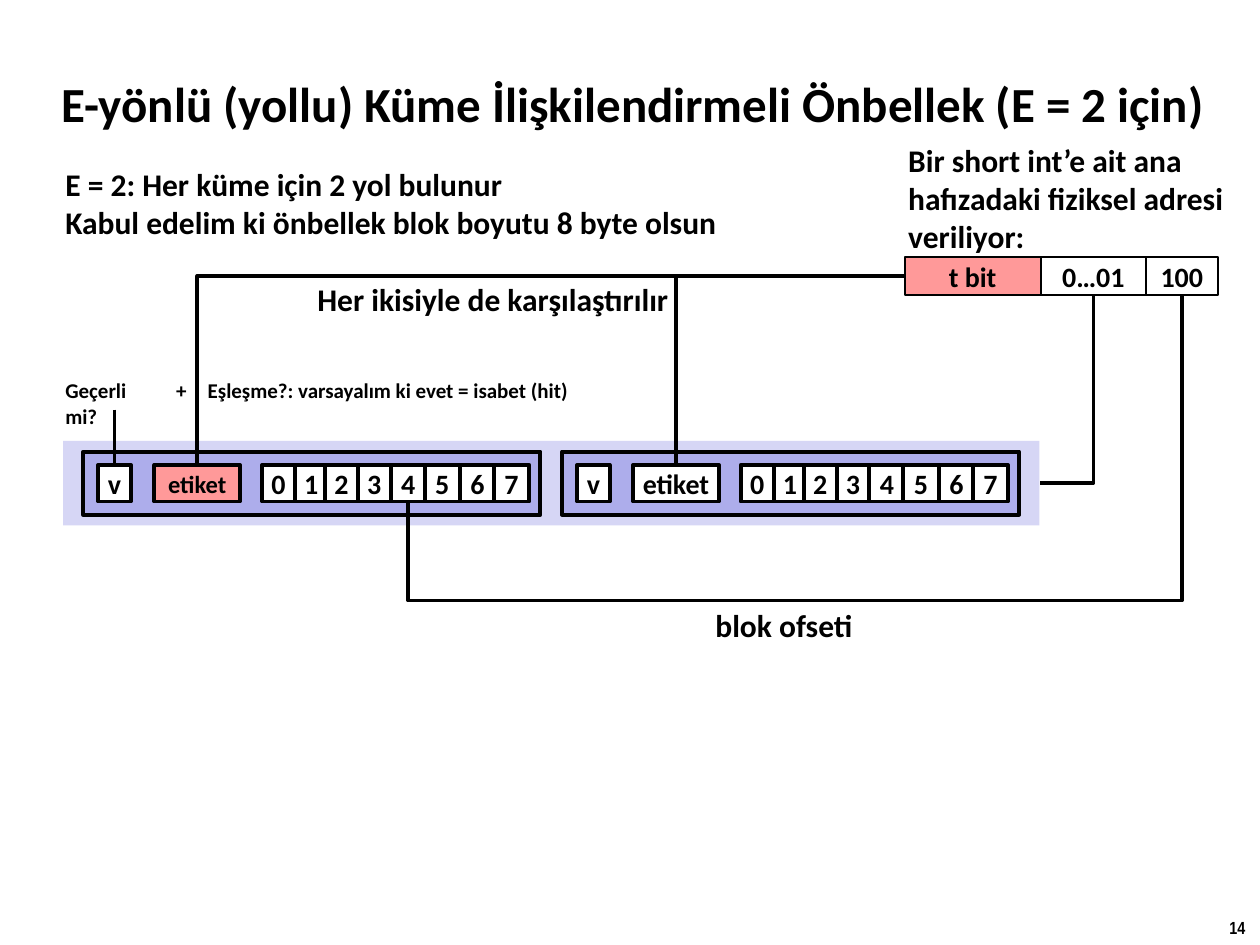
from dataclasses import dataclass

from lxml import etree
from pptx import Presentation
from pptx.dml.color import RGBColor
from pptx.enum.shapes import MSO_CONNECTOR, MSO_SHAPE
from pptx.enum.text import MSO_ANCHOR, MSO_AUTO_SIZE, PP_ALIGN
from pptx.oxml.ns import qn
from pptx.shapes.autoshape import Shape
from pptx.shapes.connector import Connector
from pptx.slide import Slide
from pptx.util import Inches, Pt

RECTANGLE = MSO_SHAPE.RECTANGLE
STRAIGHT, ELBOW = MSO_CONNECTOR.STRAIGHT, MSO_CONNECTOR.ELBOW
CENTER = PP_ALIGN.CENTER
TOP, MIDDLE = MSO_ANCHOR.TOP, MSO_ANCHOR.MIDDLE
GROW, FIXED = MSO_AUTO_SIZE.SHAPE_TO_FIT_TEXT, MSO_AUTO_SIZE.NONE
SITE_TOP, SITE_LEFT, SITE_BOTTOM, SITE_RIGHT = range(4)

SLIDE_WIDTH, SLIDE_HEIGHT = Inches(10), Inches(7.5)
COLUMN, ROW = SLIDE_WIDTH / 100, SLIDE_HEIGHT / 75


@dataclass(frozen=True)
class Theme:
    font: str = "Calibri"
    number_font: str = "Arial Narrow"
    ink: str = "000000"
    paper: str = "FFFFFF"
    tag: str = "FF9999"
    cache_set: str = "D6D6F5"
    way: str = "ADADEB"
    title: int = 28
    body: int = 18
    cell: int = 16
    small_cell: int = 14
    note: int = 12
    number: int = 10
    thin: float = 1
    wire: float = 2
    thick: float = 2.25


THEME = Theme()


@dataclass(frozen=True)
class Area:
    """Place in grid columns and rows."""
    column: float
    row: float
    columns: float
    rows: float

    def emu(self) -> tuple[int, ...]:
        return (round(self.column * COLUMN), round(self.row * ROW),
                round(self.columns * COLUMN), round(self.rows * ROW))


@dataclass(frozen=True)
class Label:
    lines: tuple[str, ...]
    area: Area
    size: int
    font: str = THEME.font


@dataclass(frozen=True)
class Way:
    column: float
    tag_fill: str
    tag_size: int


@dataclass(frozen=True)
class WayCells:
    valid: Shape
    tag: Shape
    data: list[Shape]


LABELS = (
    Label(("14",), Area(96.6, 72.3, 3.4, 2.7), THEME.number, THEME.number_font),
    Label(("Her ikisiyle de karşılaştırılır",), Area(24.2, 21.7, 30.1, 4), THEME.body),
    Label(("Geçerli mi?",), Area(4.2, 29.5, 9.7, 3), THEME.note),
    Label(("+",), Area(13, 29.5, 2.9, 3), THEME.note),
    Label(("Eşleşme?: varsayalım ki evet = isabet (hit)",),
          Area(15.5, 29.5, 30.9, 3), THEME.note),
    Label(("blok ofseti",), Area(55.8, 47.6, 13, 4), THEME.body),
    Label(("Bir short int’e ait ana", "hafızadaki fiziksel adresi", "veriliyor:"),
          Area(71.1, 10.7, 27.8, 10.1), THEME.body),
    Label(("E = 2: Her küme için 2 yol bulunur",
           "Kabul edelim ki önbellek blok boyutu 8 byte olsun"),
          Area(4.2, 12.6, 54.1, 7.1), THEME.body),
)
TITLE = Label(("E-yönlü (yollu) Küme İlişkilendirmeli Önbellek (E = 2 için)",),
              Area(3.9, 4.8, 94.4, 6.7), THEME.title)
ADDRESS_FIELDS = (
    ("t bit", Area(71.8, 20.4, 10.8, 3), THEME.tag),
    ("0…01", Area(82.6, 20.4, 8.35, 3), THEME.paper),
    ("100", Area(90.95, 20.4, 5.7, 3), THEME.paper),
)
WAYS = (Way(6.6, THEME.tag, THEME.small_cell), Way(44.6, THEME.paper, THEME.cell))
BYTE_OFFSETS = (14.2, 16.8, 19.2, 21.8, 24.4, 27.1, 29.9, 32.6)
CELL_ROW, CELL_ROWS = 36.9, 2.9


def write(shape: Shape, lines: tuple[str, ...], size: int, font: str = THEME.font,
          align: PP_ALIGN | None = None, **frame_format) -> None:
    frame = shape.text_frame
    for name, value in frame_format.items():
        setattr(frame, name, value)
    frame.text = "\n".join(lines)
    values = {"size": Pt(size), "name": font, "bold": True}
    for paragraph in frame.paragraphs:
        paragraph.alignment = align
        for name, value in values.items():
            setattr(paragraph.font, name, value)
        paragraph.font.color.rgb = RGBColor.from_string(THEME.ink)


def draw_label(slide: Slide, label: Label, wrap: bool = False,
               anchor: MSO_ANCHOR = TOP, auto_size: MSO_AUTO_SIZE = GROW) -> None:
    box = slide.shapes.add_textbox(*label.area.emu())
    write(box, label.lines, label.size, label.font,
          word_wrap=wrap, vertical_anchor=anchor, auto_size=auto_size)


def draw_box(slide: Slide, area: Area, fill: str, line_width: float = 0,
             text: str = "", size: int = THEME.cell) -> Shape:
    box = slide.shapes.add_shape(RECTANGLE, *area.emu())
    box.shadow.inherit = False
    box.fill.solid()
    box.fill.fore_color.rgb = RGBColor.from_string(fill)
    if line_width:
        box.line.color.rgb = RGBColor.from_string(THEME.ink)
        box.line.width = Pt(line_width)
    else:
        box.line.fill.background()
    if text:
        write(box, (text,), size, align=CENTER, word_wrap=False, vertical_anchor=MIDDLE)
    return box


def draw_way(slide: Slide, way: Way) -> WayCells:
    def cell(offset: float, columns: float, text: str,
             fill: str = THEME.paper, size: int = THEME.cell) -> Shape:
        area = Area(way.column + offset, CELL_ROW, columns, CELL_ROWS)
        return draw_box(slide, area, fill, THEME.thick, text, size)

    draw_box(slide, Area(way.column, 35.85, 36.3, 5), THEME.way, THEME.thick)
    data = [cell(offset, 2.6 if index < 4 else 2.8, str(index))
            for index, offset in enumerate(BYTE_OFFSETS)]
    return WayCells(cell(1.2, 2.6, "v"),
                    cell(5.65, 6.8, "etiket", way.tag_fill, way.tag_size), data)


def style_wire(wire: Connector) -> None:
    wire.line.color.rgb = RGBColor.from_string(THEME.ink)
    wire.line.width = Pt(THEME.wire)
    etree.SubElement(wire._element.spPr, qn("a:effectLst"))


def draw_elbow(slide: Slide, start: Shape, start_site: int, end: Shape, end_site: int,
               preset: str = "bentConnector2", turn: int = 90,
               adjust: float | None = None) -> None:
    """Join two sides; a half turn is also flipped, a quarter turn swaps the extents."""
    wire = slide.shapes.add_connector(ELBOW, 0, 0, 0, 0)
    wire.begin_connect(start, start_site)
    wire.end_connect(end, end_site)
    if turn == 90:
        shift = (wire.width - wire.height) // 2
        wire.left, wire.top = wire.left + shift, wire.top - shift
        wire.width, wire.height = wire.height, wire.width
    properties = wire._element.spPr
    transform = {"rot": str(turn * 60000), "flipH": "0", "flipV": str(int(turn == 180))}
    for name, value in transform.items():
        properties.find(qn("a:xfrm")).set(name, value)
    geometry = properties.find(qn("a:prstGeom"))
    geometry.set("prst", preset)
    if adjust is not None:
        etree.SubElement(geometry.find(qn("a:avLst")), qn("a:gd"),
                         name="adj1", fmla=f"val {round(adjust * 100000)}")
    style_wire(wire)


def main() -> None:
    presentation = Presentation()
    presentation.slide_width, presentation.slide_height = SLIDE_WIDTH, SLIDE_HEIGHT
    slide = presentation.slides.add_slide(presentation.slide_layouts[6])

    tag_bits, set_index, block_offset = (
        draw_box(slide, area, fill, THEME.thin, text)
        for text, area, fill in ADDRESS_FIELDS)
    cache_set = draw_box(slide, Area(5, 35, 77.5, 6.7), THEME.cache_set)
    ways = [draw_way(slide, way) for way in WAYS]

    draw_elbow(slide, set_index, SITE_BOTTOM, cache_set, SITE_RIGHT)
    for way in ways:
        draw_elbow(slide, tag_bits, SITE_LEFT, way.tag, SITE_TOP, turn=180)
    draw_elbow(slide, block_offset, SITE_BOTTOM, ways[0].data[4], SITE_BOTTOM,
               preset="bentConnector3", adjust=1.48)
    valid_wire = slide.shapes.add_connector(
        STRAIGHT, round(9.1 * COLUMN), round(32.5 * ROW), 0, 0)
    valid_wire.end_connect(ways[0].valid, SITE_TOP)
    style_wire(valid_wire)

    for label in LABELS:
        draw_label(slide, label)
    draw_label(slide, TITLE, wrap=True, anchor=MIDDLE, auto_size=FIXED)
    presentation.save("out.pptx")


if __name__ == "__main__":
    main()
